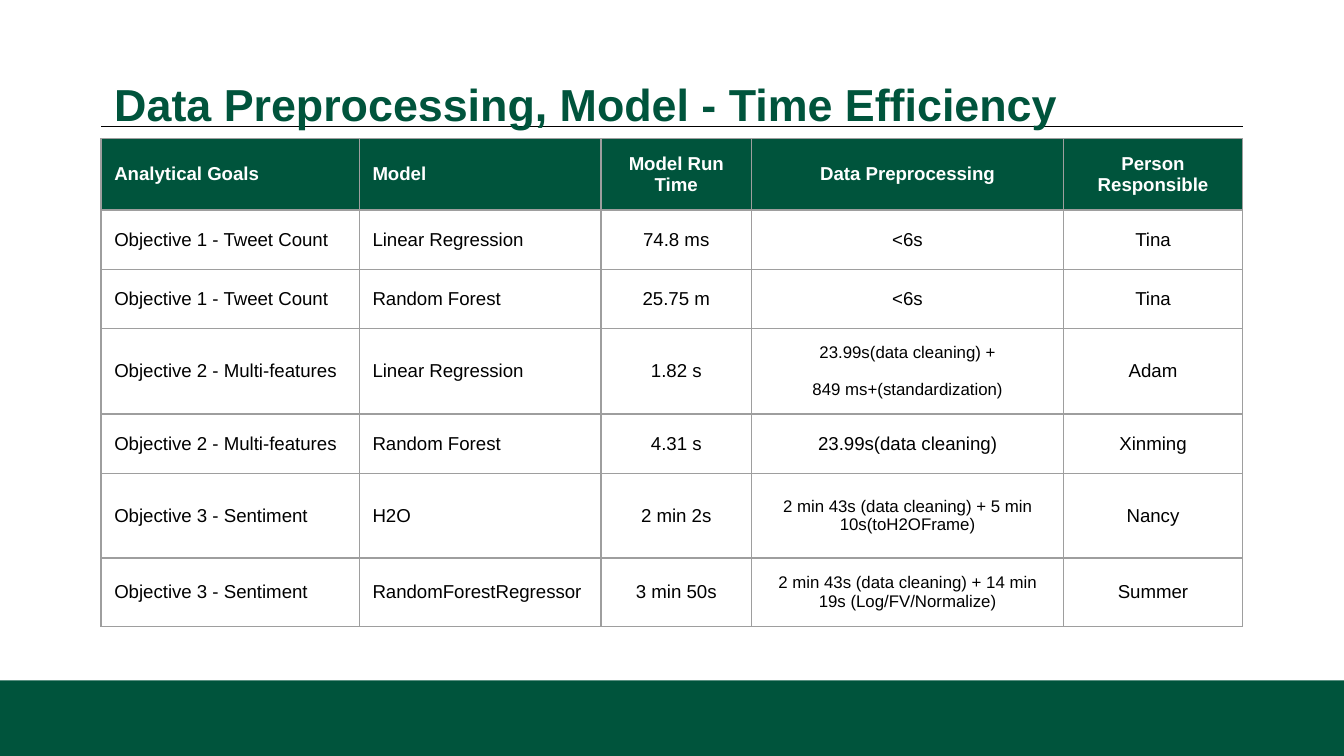
"""Build the slide comparing model run times and data preprocessing times."""
from lxml.etree import SubElement
from pptx import Presentation
from pptx.dml.color import RGBColor
from pptx.enum.shapes import MSO_CONNECTOR, MSO_SHAPE
from pptx.enum.text import MSO_ANCHOR, PP_ALIGN
from pptx.oxml.ns import qn
from pptx.util import Cm, Pt

COLORS = {"green": "00543C", "white": "FFFFFF", "black": "000000", "gray": "9E9E9E"}
COL_WIDTHS = [4.88, 4.57, 2.84, 5.9, 3.38]
ROW_HEIGHTS = [1.34, 1.12, 1.12, 1.57, 1.12, 1.6, 1.3]
ROWS = [
    ["Analytical Goals", "Model", "Model Run Time", "Data Preprocessing", "Person Responsible"],
    ["Objective 1 - Tweet Count", "Linear Regression", "74.8 ms", "<6s", "Tina"],
    ["Objective 1 - Tweet Count", "Random Forest", "25.75 m", "<6s", "Tina"],
    ["Objective 2 - Multi-features", "Linear Regression", "1.82 s",
     "23.99s(data cleaning) +\n849 ms+(standardization)", "Adam"],
    ["Objective 2 - Multi-features", "Random Forest", "4.31 s", "23.99s(data cleaning)", "Xinming"],
    ["Objective 3 - Sentiment", "H2O", "2 min 2s",
     "2 min 43s (data cleaning) + 5 min 10s(toH2OFrame)", "Nancy"],
    ["Objective 3 - Sentiment", "RandomForestRegressor", "3 min 50s",
     "2 min 43s (data cleaning) + 14 min 19s (Log/FV/Normalize)", "Summer"],
]


def set_font(p, size, color, bold=False):
    p.font.name = "Arial"
    p.font.size = Pt(size)
    p.font.bold = bold
    p.font.color.rgb = RGBColor.from_string(COLORS[color])


def set_borders(cell):
    tc_pr = cell._tc.get_or_add_tcPr()
    for i, tag in enumerate(("a:lnL", "a:lnR", "a:lnT", "a:lnB")):
        ln = tc_pr.makeelement(qn(tag), {"w": str(Pt(0.75))})
        fill = SubElement(ln, qn("a:solidFill"))
        SubElement(fill, qn("a:srgbClr"), val=COLORS["gray"])
        tc_pr.insert(i, ln)


prs = Presentation()
prs.slide_width, prs.slide_height = Cm(25.4), Cm(14.29)
s = prs.slides.add_slide(prs.slide_layouts[6])

band = s.shapes.add_shape(MSO_SHAPE.RECTANGLE, 0, Cm(12.86), prs.slide_width, Cm(1.43))
band.shadow.inherit = False
band.fill.solid()
band.fill.fore_color.rgb = RGBColor.from_string(COLORS["green"])
band.line.fill.background()

rule = s.shapes.add_connector(MSO_CONNECTOR.STRAIGHT, Cm(23.49), Cm(2.39), Cm(1.91), Cm(2.39))
rule.line.color.rgb = RGBColor.from_string(COLORS["black"])
rule.line.width = Pt(0.75)
SubElement(rule._element.spPr, qn("a:effectLst"))

title = s.shapes.add_textbox(Cm(1.91), Cm(0.94), Cm(21.57), Cm(1.78))
tf = title.text_frame
tf.word_wrap = True
tf.vertical_anchor = MSO_ANCHOR.MIDDLE
tf.margin_left = tf.margin_right = tf.margin_top = tf.margin_bottom = Cm(0.25)
p = tf.paragraphs[0]
p.text = "Data Preprocessing, Model - Time Efficiency"
p.line_spacing = 1.25
set_font(p, 24, "green", bold=True)

table = s.shapes.add_table(len(ROWS), len(COL_WIDTHS), Cm(1.91), Cm(2.62),
                           Cm(sum(COL_WIDTHS)), Cm(sum(ROW_HEIGHTS))).table
table.horz_banding = False
for column, width in zip(table.columns, COL_WIDTHS):
    column.width = Cm(width)
for row, height in zip(table.rows, ROW_HEIGHTS):
    row.height = Cm(height)

for r, texts in enumerate(ROWS):
    header = r == 0
    for c, text in enumerate(texts):
        cell = table.cell(r, c)
        cell.fill.solid()
        cell.fill.fore_color.rgb = RGBColor.from_string(COLORS["green" if header else "white"])
        cell.vertical_anchor = MSO_ANCHOR.MIDDLE
        cell.margin_left = cell.margin_right = cell.margin_top = cell.margin_bottom = Cm(0.25)
        set_borders(cell)
        cell.text_frame.text = text
        for p in cell.text_frame.paragraphs:
            p.alignment = PP_ALIGN.LEFT if c < 2 else PP_ALIGN.CENTER
            p.space_before = Pt(10)
            set_font(p, 9 if len(text) > 25 and c == 3 else 10,
                     "white" if header else "black", bold=header)

prs.save("out.pptx")
